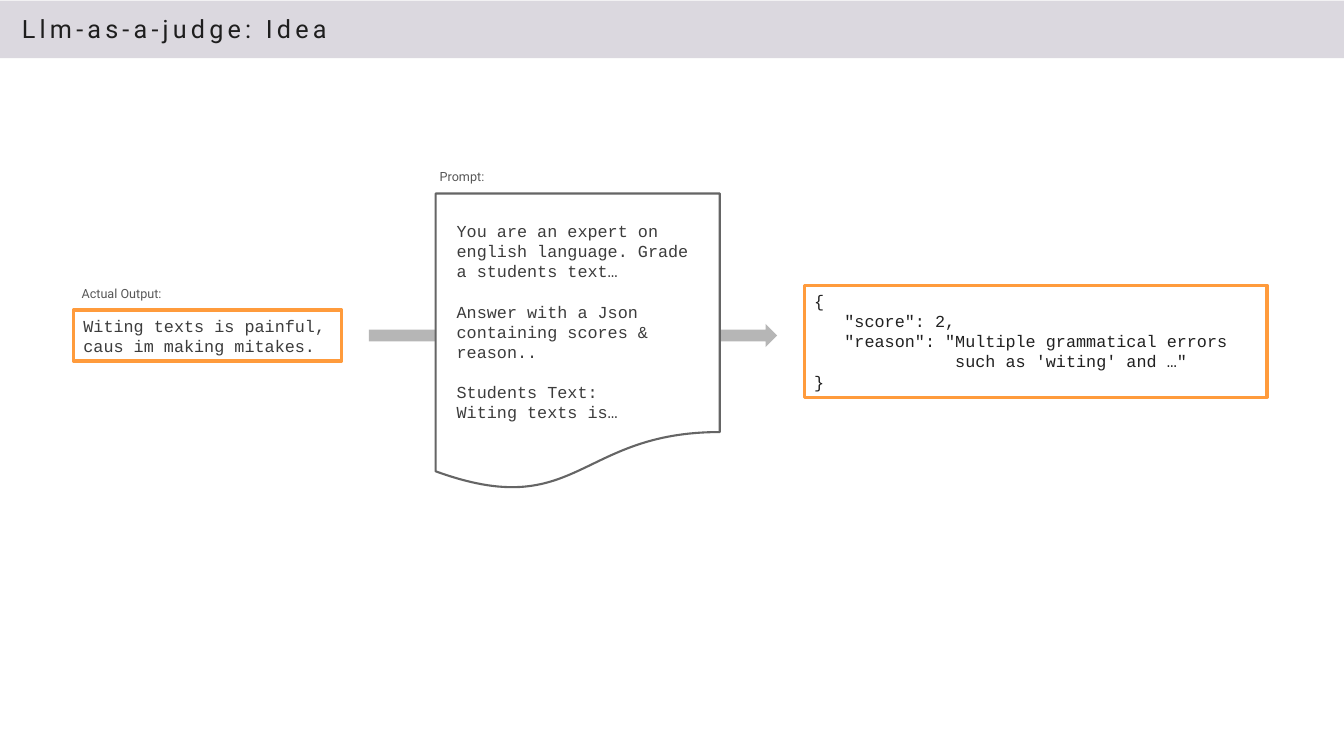
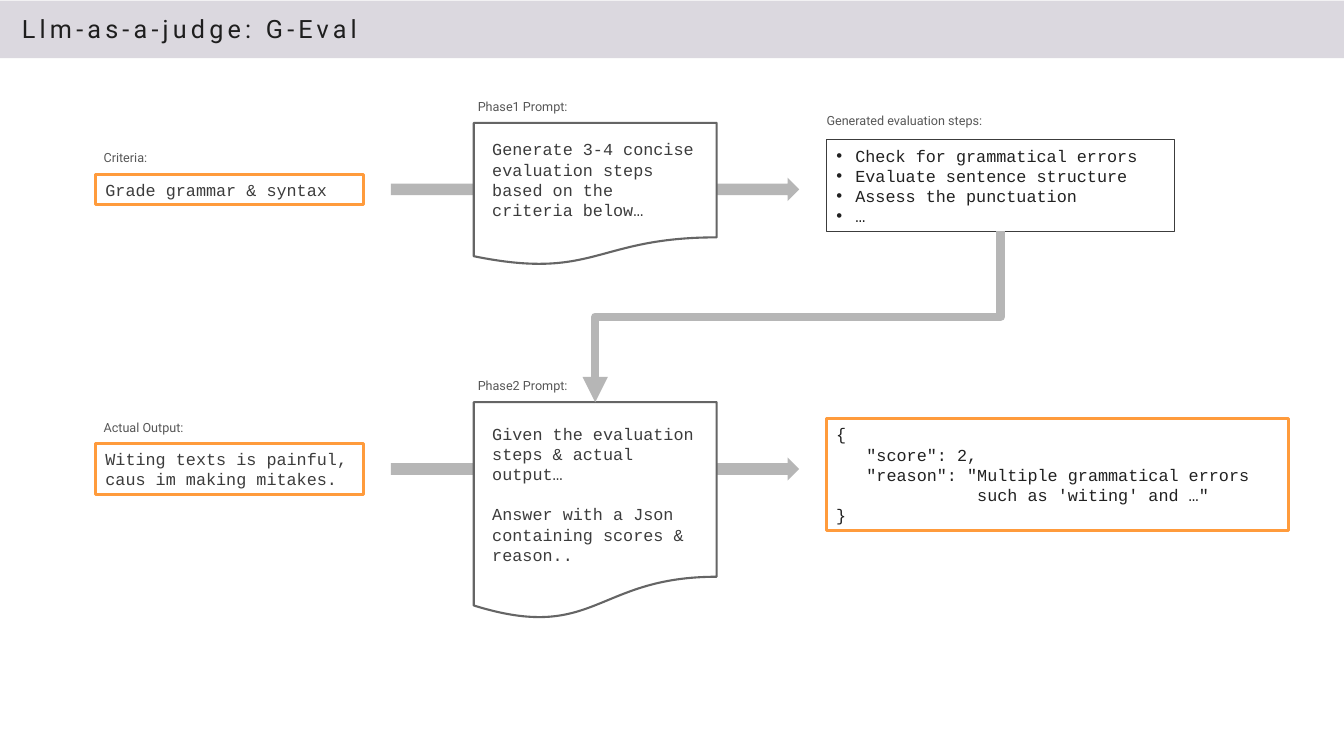
"""Build two slides that explain how a language model grades a text."""
from dataclasses import dataclass

from lxml import etree
from pptx import Presentation
from pptx.dml.color import RGBColor
from pptx.enum.shapes import MSO_CONNECTOR, MSO_SHAPE
from pptx.enum.text import MSO_ANCHOR, PP_ALIGN
from pptx.oxml.ns import qn
from pptx.util import Pt

RECT = MSO_SHAPE.RECTANGLE
ARROW = MSO_SHAPE.RIGHT_ARROW
PAGE = MSO_SHAPE.FLOWCHART_DOCUMENT
ELBOW = MSO_CONNECTOR.ELBOW
TOP, MIDDLE = MSO_ANCHOR.TOP, MSO_ANCHOR.MIDDLE
LEFT = PP_ALIGN.LEFT

WIDE, HIGH = 960, 540
BAND, GRAY, WHITE = "DBD8DF", "B6B6B6", "FFFFFF"
ORANGE, EDGE, DARK, INK = "FF9B3C", "656565", "3C3C3C", "212121"
PITCH = 14.4
TITLE = {"name": "Roboto", "size": Pt(18)}
LABEL = {"name": "Roboto", "size": Pt(9)}
MONO = {"name": "Courier New", "size": Pt(12)}

ESSAY = "Witing texts is painful, caus im making mitakes."
ANSWER = "Answer with a Json containing scores & reason.."
SCORE = [
    "{",
    '   "score": 2,',
    '   "reason": "Multiple grammatical errors',
    "              such as 'witing' and …\"",
    "}",
]
STEPS = [
    "Check for grammatical errors",
    "Evaluate sentence structure",
    "Assess the punctuation",
    "…",
]


@dataclass
class Box:
    """A place on the slide, in points."""

    x: float
    y: float
    w: float
    h: float


@dataclass
class Sheet:
    """A prompt page: label, place, inner margins and blocks of lines."""

    label: str
    box: Box
    side: float
    head: float
    blocks: list


@dataclass
class Row:
    """A flow from an input through a prompt page."""

    x: float
    mid: float
    label: str
    text: str
    high: float
    sheet: Sheet


def tint(code: str) -> RGBColor:
    """Turn a hex string into a colour."""
    return RGBColor.from_string(code)


def place(box: Box) -> tuple:
    """Give the lengths of a box."""
    return Pt(box.x), Pt(box.y), Pt(box.w), Pt(box.h)


def shape(slide, kind, box: Box, fill: str = "", line: str = "", width: float = 0):
    """Add a plain preset shape."""
    item = slide.shapes.add_shape(kind, *place(box))
    item.shadow.inherit = False
    if fill:
        item.fill.solid()
        item.fill.fore_color.rgb = tint(fill)
    else:
        item.fill.background()
    if line:
        item.line.color.rgb = tint(line)
        item.line.width = Pt(width)
    else:
        item.line.fill.background()
    return item


def frame(item, anchor=MIDDLE, side: float = 7.2, head: float = 3.6, foot: float = 3.6):
    """Set the margins and anchor of a text frame."""
    body = item.text_frame
    form = {
        "word_wrap": True,
        "vertical_anchor": anchor,
        "margin_left": Pt(side),
        "margin_right": Pt(side),
        "margin_top": Pt(head),
        "margin_bottom": Pt(foot),
    }
    for key, value in form.items():
        setattr(body, key, value)
    return body


def style(run, form: dict, color: str) -> None:
    """Apply format values to a run."""
    for key, value in form.items():
        setattr(run.font, key, value)
    run.font.color.rgb = tint(color)


def bullet(para) -> None:
    """Give a paragraph a hanging bullet."""
    props = para._p.get_or_add_pPr()
    props.set("marL", str(Pt(13.5)))
    props.set("indent", str(-Pt(13.5)))
    etree.SubElement(props, qn("a:buFont")).set("typeface", "Arial")
    etree.SubElement(props, qn("a:buChar")).set("char", "•")


def write(body, blocks: list, color: str, dots: bool = False) -> None:
    """Write blocks of monospace lines with a line of space between blocks."""
    para = None
    for block in blocks:
        for pos, text in enumerate(block):
            first = para is None
            para = body.paragraphs[0] if first else body.add_paragraph()
            if dots:
                bullet(para)
            para.alignment = LEFT
            para.line_spacing = Pt(PITCH)
            if pos == 0 and not first:
                para.space_before = Pt(PITCH)
            run = para.add_run()
            run.text = text
            style(run, MONO, color)


def label(slide, x: float, y: float, text: str) -> None:
    """Add a small caption."""
    item = slide.shapes.add_textbox(*place(Box(x, y, 130, 11)))
    run = frame(item, TOP, 0, 0, 0).paragraphs[0].add_run()
    run.text = text
    style(run, LABEL, "575757")


def start(deck, text: str):
    """Add a blank slide with its title band."""
    slide = deck.slides.add_slide(deck.slide_layouts[6])
    shape(slide, RECT, Box(0, 0.5, WIDE, 41), BAND)
    item = slide.shapes.add_textbox(*place(Box(6.5, 0, 535, 41)))
    run = frame(item, MIDDLE, 9.2, 9.2, 9.2).paragraphs[0].add_run()
    run.text = text
    style(run, TITLE, "1E1E1E")
    run._r.get_or_add_rPr().set("spc", "300")
    return slide


def page(slide, sheet: Sheet) -> None:
    """Draw a prompt page."""
    box = sheet.box
    item = shape(slide, PAGE, box, WHITE, EDGE, 1.5)
    write(frame(item, TOP, sheet.side, sheet.head, 0), sheet.blocks, DARK)
    label(slide, box.x + 2.9, box.y - 17.3, sheet.label)


def flow(slide, row: Row) -> None:
    """Draw an input, its arrow and its prompt page."""
    shape(slide, ARROW, Box(row.x + 211, row.mid - 8.3, 291.6, 16.6), GRAY)
    box = Box(row.x, row.mid - row.high / 2, 191.5, row.high)
    item = shape(slide, RECT, box, "", ORANGE, 2.25)
    write(frame(item), [[row.text]], DARK)
    label(slide, box.x + 5.8, box.y - 17, row.label)
    page(slide, row.sheet)


def score(slide, row: Row) -> None:
    """Draw the graded result at the end of a row."""
    box = Box(row.x + 522, row.mid - 36, 330.5, 80)
    write(frame(shape(slide, RECT, box, "", ORANGE, 2.25)), [SCORE], INK)


def steps(slide, box: Box) -> None:
    """Draw the list of generated steps."""
    item = shape(slide, RECT, box, "", DARK, 0.75)
    write(frame(item), [STEPS], INK, True)
    label(slide, box.x, box.y - 19.4, "Generated evaluation steps:")


def link(slide, box: Box, goal: Box) -> None:
    """Draw a bent arrow from below one box to the top of another."""
    x1, y1 = box.x + box.w / 2, box.y + box.h
    x2, y2 = goal.x + goal.w / 2, goal.y
    long, wide = y2 - y1, x1 - x2
    x, y = (x1 + x2 - long) / 2, (y1 + y2 - wide) / 2
    line = slide.shapes.add_connector(ELBOW, Pt(x), Pt(y), Pt(x + long), Pt(y + wide))
    line.line.color.rgb = tint(GRAY)
    line.line.width = Pt(6)
    props = line._element.spPr
    props.find(qn("a:xfrm")).set("rot", "5400000")
    etree.SubElement(props.find(qn("a:ln")), qn("a:tailEnd")).set("type", "triangle")
    etree.SubElement(props, qn("a:effectLst"))


def idea(deck) -> None:
    """Build the slide on the idea."""
    slide = start(deck, "Llm-as-a-judge: Idea")
    blocks = [
        ["You are an expert on english language. Grade a students text…"],
        [ANSWER],
        ["Students Text:", "Witing texts is…"],
    ]
    sheet = Sheet("Prompt:", Box(311.2, 138.2, 203, 212.5), 15, 19.4, blocks)
    row = Row(52.5, 239.7, "Actual Output:", ESSAY, 36.4, sheet)
    flow(slide, row)
    score(slide, row)


def phases(deck) -> None:
    """Build the slide on the two phases."""
    slide = start(deck, "Llm-as-a-judge: G-Eval")
    ask = [["Generate 3-4 concise evaluation steps based on the criteria below…"]]
    rate = [["Given the evaluation steps & actual output…"], [ANSWER]]
    one = Sheet("Phase1 Prompt:", Box(338.4, 87.8, 173.5, 102), 13.2, 11.6, ask)
    two = Sheet("Phase2 Prompt:", Box(338.4, 287.3, 173.5, 155.5), 13.2, 15.2, rate)
    first = Row(68.2, 135.3, "Criteria:", "Grade grammar & syntax", 21.8, one)
    last = Row(68.2, 335, "Actual Output:", ESSAY, 36.4, two)
    for row in (first, last):
        flow(slide, row)
    box = Box(590.4, 99.8, 248.6, 65.5)
    steps(slide, box)
    link(slide, box, two.box)
    score(slide, last)


def main() -> None:
    """Build and save the deck."""
    deck = Presentation()
    deck.slide_width, deck.slide_height = Pt(WIDE), Pt(HIGH)
    idea(deck)
    phases(deck)
    deck.save("out.pptx")


if __name__ == "__main__":
    main()
